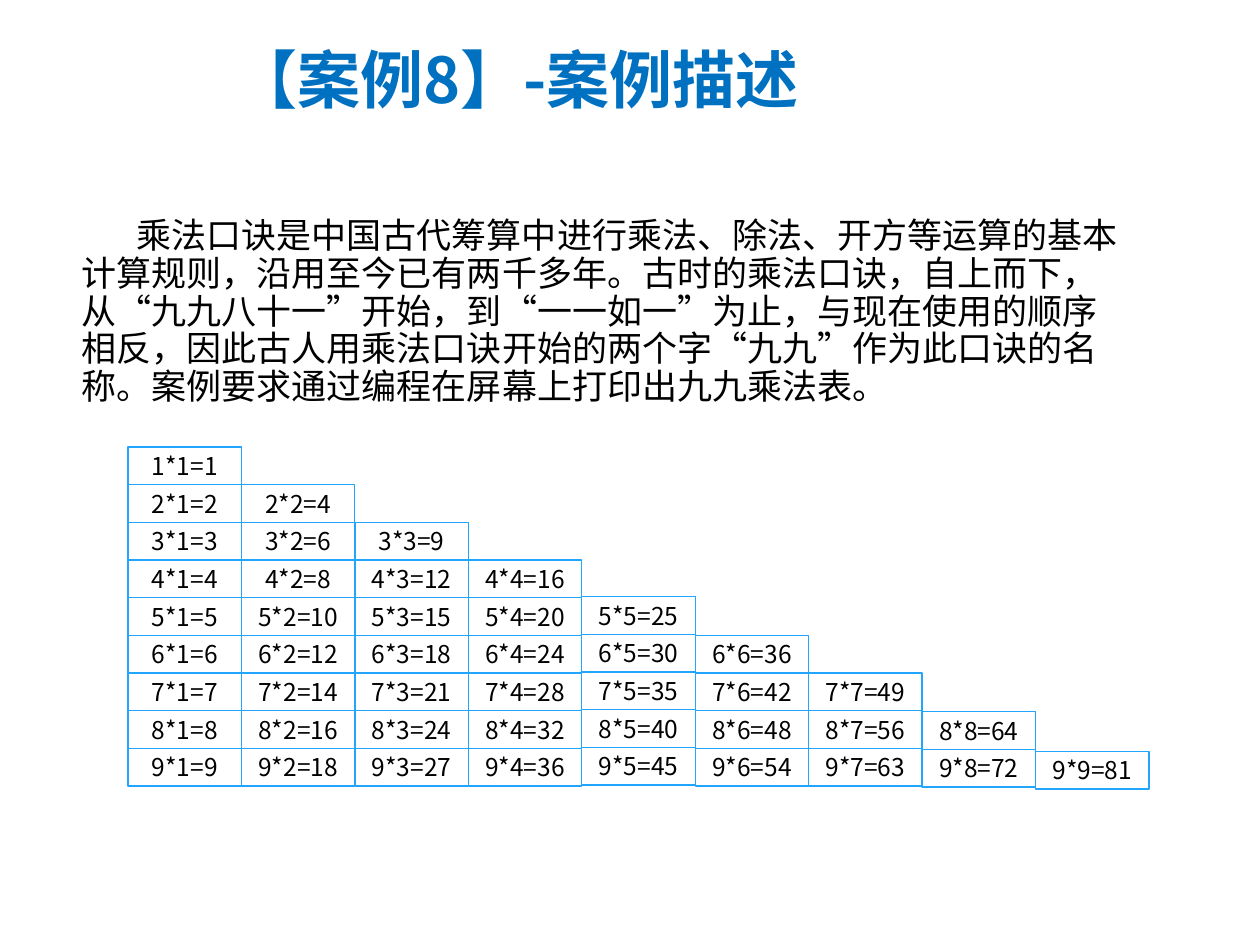
from lxml.etree import SubElement as Sub
from pptx import Presentation
from pptx.dml.color import RGBColor as RGB
from pptx.enum.shapes import MSO_SHAPE as Shape
from pptx.enum.text import MSO_ANCHOR as Anchor, PP_ALIGN as Align
from pptx.oxml.ns import qn
from pptx.util import Pt

BLUE = RGB(0x00, 0x70, 0xC0)
EDGE = RGB(0x21, 0xA5, 0xFF)
WHITE = RGB(0xFF, 0xFF, 0xFF)
BLACK = RGB(0x00, 0x00, 0x00)
HAN = "Noto Sans CJK SC"

HEAD = {"name": HAN, "size": Pt(36), "bold": True}
BODY = {"name": "Calibri", "size": Pt(20)}
CELL = {"name": "Noto Sans CJK KR", "size": Pt(14)}
DROP = {5: -1, 8: 1, 9: 3}

TITLE = "【案例8】-案例描述"
STORY = (
    "乘法口诀是中国古代筹算中进行乘法、除法、开方等运算的基本计算规则，"
    "沿用至今已有两千多年。古时的乘法口诀，自上而下，从“九九八十一”开始，"
    "到“一一如一”为止，与现在使用的顺序相反，因此古人用乘法口诀开始的两个字"
    "“九九”作为此口诀的名称。案例要求通过编程在屏幕上打印出九九乘法表。"
)


def px(num):
    """Turn pixels into EMU."""
    return round(num * 914400 / 126)


def write(shape, text, style, color, **form):
    """Put one styled paragraph into a shape and return it."""
    para = shape.text_frame.paragraphs[0]
    run = para.add_run()
    run.text = text
    for key, val in style.items():
        setattr(run.font, key, val)
    run.font.color.rgb = color
    Sub(run.font._element, qn("a:ea"), typeface=HAN)
    for key, val in form.items():
        setattr(para, key, val)
    return para


def add_box(slide, box, anchor):
    """Add a wrapping text box."""
    shape = slide.shapes.add_textbox(*map(px, box))
    shape.text_frame.word_wrap = True
    shape.text_frame.vertical_anchor = anchor
    return shape


def add_title(slide, box):
    """Place the heading."""
    write(add_box(slide, box, Anchor.MIDDLE), TITLE, HEAD, BLUE)


def add_story(slide, box):
    """Place the description with an indented first line."""
    shape = add_box(slide, box, Anchor.TOP)
    para = write(shape, STORY, BODY, BLACK, line_spacing=0.9)
    para._p.get_or_add_pPr().set("indent", str(px(55)))


def add_cell(slide, box, text):
    """Draw one framed product."""
    cell = slide.shapes.add_shape(Shape.RECTANGLE, *map(px, box))
    cell.shadow.inherit = False
    cell.fill.solid()
    cell.fill.fore_color.rgb = WHITE
    cell.line.color.rgb = EDGE
    cell.line.width = Pt(0.75)
    cell.text_frame.word_wrap = False
    cell.text_frame.vertical_anchor = Anchor.MIDDLE
    write(cell, text, CELL, BLACK, alignment=Align.CENTER)


def add_stairs(slide, box, count=9):
    """Lay out the times table as a staircase, column by column."""
    left, top, width, height = box
    wide, high = width / count, height / count
    for col in range(1, count + 1):
        for row in range(col, count + 1):
            x = left + (col - 1) * wide
            y = top + (row - 1) * high + DROP.get(col, 0)
            add_cell(slide, (x, y, wide, high), f"{row}*{col}={row * col}")


def main():
    """Build and save the slide."""
    deck = Presentation()
    deck.slide_width, deck.slide_height = px(1260), px(945)
    slide = deck.slides.add_slide(deck.slide_layouts[6])
    add_title(slide, (222, 25, 781, 106))
    add_story(slide, (69, 212, 1074, 268))
    add_stairs(slide, (128, 447, 1021, 339))
    deck.save("out.pptx")


if __name__ == "__main__":
    main()
